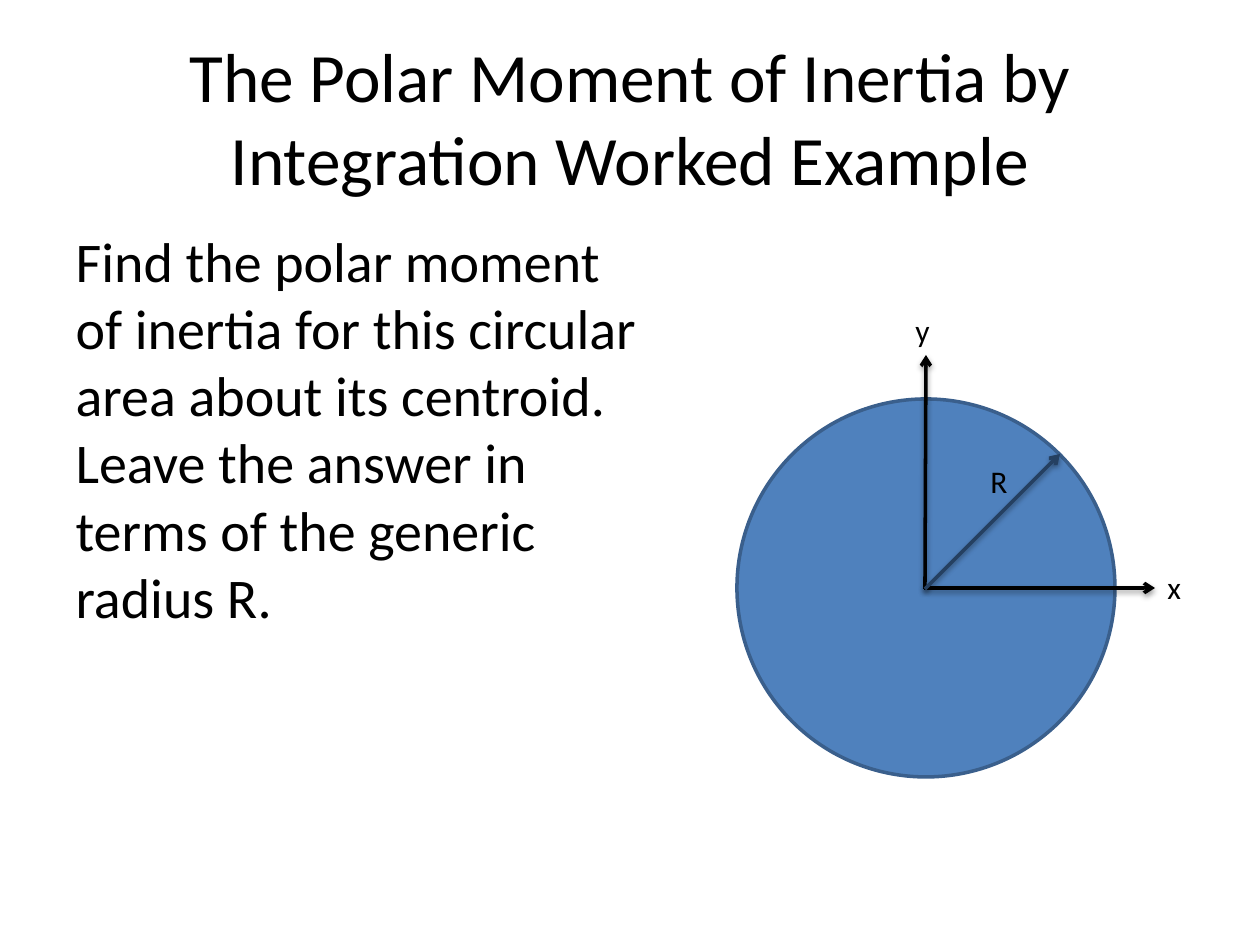
from lxml import etree
from pptx import Presentation
from pptx.dml.color import RGBColor
from pptx.enum.shapes import MSO_CONNECTOR, MSO_SHAPE
from pptx.enum.text import MSO_ANCHOR, MSO_AUTO_SIZE, PP_ALIGN
from pptx.oxml.ns import qn
from pptx.util import Pt

STRAIGHT = MSO_CONNECTOR.STRAIGHT
OVAL = MSO_SHAPE.OVAL
MIDDLE, TOP = MSO_ANCHOR.MIDDLE, MSO_ANCHOR.TOP
LEFT, CENTER = PP_ALIGN.LEFT, PP_ALIGN.CENTER
NO_FIT, GROW = MSO_AUTO_SIZE.NONE, MSO_AUTO_SIZE.SHAPE_TO_FIT_TEXT

COLORS = {"text": "000000", "axis": "000000", "disc": "4F81BD",
          "rim": "3A5F8C", "radius": "254061"}
PX = 914400 / 126


def emu(*lengths):
    return [round(length * PX) for length in lengths]


def write(box, words, size, align, frame_format):
    frame = box.text_frame
    frame.text = words
    for key, value in frame_format.items():
        setattr(frame, key, value)
    paragraph = frame.paragraphs[0]
    paragraph.alignment = align
    paragraph.space_before = Pt(0)
    font = paragraph.runs[0].font
    font.name, font.size = "Calibri", Pt(size)
    font.color.rgb = RGBColor.from_string(COLORS["text"])
    return paragraph


prs = Presentation()
prs.slide_width, prs.slide_height = emu(1260, 945)
slide = prs.slides.add_slide(prs.slide_layouts[1])
title, question = slide.placeholders

title.left, title.top, title.width, title.height = emu(63, 38, 1134, 157)
write(title, "The Polar Moment of Inertia by Integration Worked Example", 39.6, CENTER,
      {"vertical_anchor": MIDDLE, "auto_size": NO_FIT, "word_wrap": True})

question.left, question.top, question.width, question.height = emu(63, 220, 588, 624)
problem = write(question, "Find the polar moment of inertia for this circular area about its "
                "centroid. Leave the answer in terms of the generic radius R.", 32, LEFT,
                {"vertical_anchor": TOP, "auto_size": NO_FIT, "word_wrap": True})
properties = problem._p.get_or_add_pPr()
properties.set("marL", "0")
properties.set("indent", "0")
etree.SubElement(properties, qn("a:buNone"))

disc = slide.shapes.add_shape(OVAL, *emu(737, 399, 378, 378))
disc.shadow.inherit = False
disc.fill.solid()
disc.fill.fore_color.rgb = RGBColor.from_string(COLORS["disc"])
disc.line.color.rgb = RGBColor.from_string(COLORS["rim"])
disc.line.width = Pt(2)

for start, end, color in [((924, 588), (1155, 588), "axis"),
                          ((925, 589), (926, 355), "axis"),
                          ((925, 589), (1060, 454), "radius")]:
    arrow = slide.shapes.add_connector(STRAIGHT, *emu(*start, *end))
    arrow.line.color.rgb = RGBColor.from_string(COLORS[color])
    arrow.line.width = Pt(2)
    etree.SubElement(arrow.line._get_or_add_ln(), qn("a:tailEnd"), type="arrow")

for words, place, align, wrap in [("x", (1155, 562, 39, 51), LEFT, False),
                                  ("y", (903, 305, 40, 51), LEFT, False),
                                  ("R", (937, 456, 124, 51), CENTER, True)]:
    label = slide.shapes.add_textbox(*emu(*place))
    write(label, words, 18, align, {"word_wrap": wrap, "auto_size": GROW})

prs.save("out.pptx")
